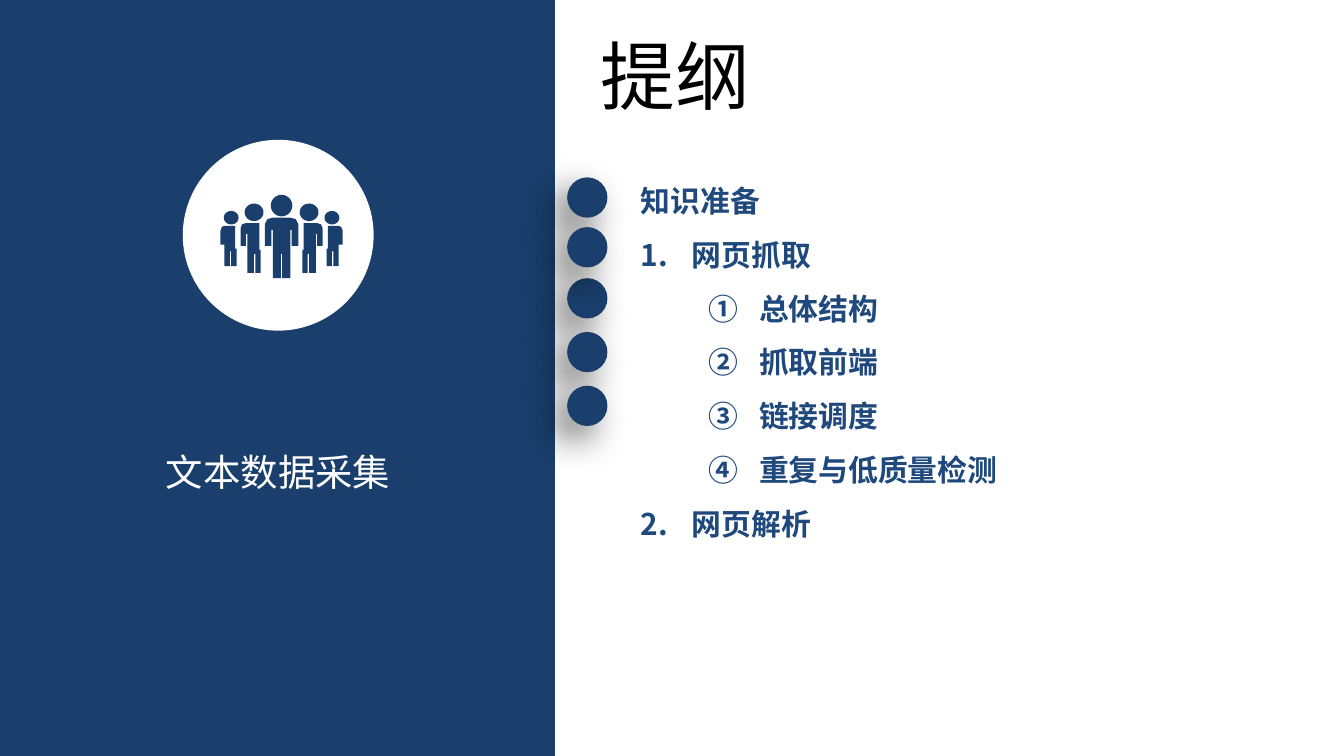
"""Build the outline slide for a lecture on collecting text data."""
import dataclasses
import math

import lxml.etree
import pptx
import pptx.dml.color
import pptx.enum.shapes
import pptx.enum.text
import pptx.oxml
import pptx.oxml.ns
import pptx.util

Inches = pptx.util.Inches
OVAL = pptx.enum.shapes.MSO_SHAPE.OVAL
ALIGN = pptx.enum.text.PP_ALIGN
FIT_SHAPE = pptx.enum.text.MSO_AUTO_SIZE.SHAPE_TO_FIT_TEXT
qn = pptx.oxml.ns.qn


@dataclasses.dataclass(frozen=True)
class Theme:
    navy: str = "1A3F6C"
    outline: str = "1F497D"
    white: str = "FFFFFF"
    black: str = "000000"
    font: str = "Noto Sans CJK SC"
    title_size: int = 40
    topic_size: int = 20
    outline_size: int = 16


theme = Theme()


def write(paragraph, text, size, color, bold=False, align=None, spacing=None, numbering=None, level=0, indent=0):
    if numbering:
        properties = paragraph._p.get_or_add_pPr()
        properties.set("marL", str(Inches(indent)))
        properties.set("indent", str(Inches(-0.38)))
        lxml.etree.SubElement(properties, qn("a:buFont"), typeface=theme.font)
        lxml.etree.SubElement(properties, qn("a:buAutoNum"), type=numbering)
    paragraph.level = level
    paragraph.alignment = align
    paragraph.line_spacing = spacing
    run = paragraph.add_run()
    run.text = text
    run.font.size = pptx.util.Pt(size)
    run.font.bold = bold
    run.font.color.rgb = pptx.dml.color.RGBColor.from_string(color)
    run.font.name = theme.font
    lxml.etree.SubElement(run._r.get_or_add_rPr(), qn("a:ea"), typeface=theme.font)


def paint(shape, color):
    shape.shadow.inherit = False
    shape.fill.solid()
    shape.fill.fore_color.rgb = pptx.dml.color.RGBColor.from_string(color)
    shape.line.fill.background()


deck = pptx.Presentation()
deck.slide_width = Inches(10)
deck.slide_height = deck.slide_width * 9 // 16
slide = deck.slides.add_slide(deck.slide_layouts[6])
shapes = slide.shapes

side_panel = shapes.add_shape(pptx.enum.shapes.MSO_SHAPE.RECTANGLE, 0, 0, Inches(4.13), deck.slide_height)
paint(side_panel, theme.navy)

title = shapes.add_textbox(Inches(4.37), Inches(0.17), Inches(1.32), Inches(0.77)).text_frame
title.word_wrap = False
title.auto_size = FIT_SHAPE
write(title.paragraphs[0], "提纲", theme.title_size, theme.black)

topic = shapes.add_textbox(Inches(1.23), Inches(3.34), Inches(1.68), Inches(0.34)).text_frame
topic.margin_left = topic.margin_right = topic.margin_top = topic.margin_bottom = 0
topic.word_wrap = True
topic.auto_size = FIT_SHAPE
write(topic.paragraphs[0], "文本数据采集", theme.topic_size, theme.white, align=ALIGN.CENTER)

badge = shapes.add_group_shape().shapes
paint(badge.add_shape(OVAL, Inches(1.36), Inches(1.04), Inches(1.42), Inches(1.42)), theme.white)

crowd_left, crowd_right = 1.64, 2.55
crowd_axis = (crowd_left + crowd_right) / 2
leader_half = [
    (crowd_axis, 1.62), (2.03, 1.62), (1.99, 1.63), (1.97, 1.67), (1.97, 1.83), (2.02, 1.83), (2.02, 1.71),
    (2.03, 1.71), (2.03, 2.07), (2.09, 2.07), (2.09, 1.89), (crowd_axis, 1.89),
]
second_body = [
    (1.83, 1.66), (1.8, 1.67), (1.79, 1.7), (1.79, 1.83), (1.83, 1.83), (1.83, 1.74), (1.84, 1.74), (1.84, 2.03),
    (1.89, 2.03), (1.89, 1.89), (1.9, 1.89), (1.9, 2.03), (1.94, 2.03), (1.94, 1.86), (1.93, 1.86), (1.93, 1.66),
]
third_body = [
    (1.67, 1.68), (1.65, 1.69), (crowd_left, 1.72), (crowd_left, 1.82), (1.67, 1.82), (1.67, 1.98), (1.71, 1.98),
    (1.71, 1.87), (1.72, 1.87), (1.72, 1.98), (1.76, 1.98), (1.76, 1.85), (1.75, 1.85), (1.75, 1.68),
]
turns = [math.tau * step / 32 for step in range(32)]
leader_head, second_head, third_head = [
    [(x + width / 2 * math.cos(turn), y + height / 2 * math.sin(turn)) for turn in turns]
    for x, y, width, height in [(crowd_axis, 1.53, 0.16, 0.16), (1.89, 1.58, 0.14, 0.13), (1.72, 1.62, 0.11, 0.1)]
]
contours = [leader_head, leader_half + [(2 * crowd_axis - x, y) for x, y in reversed(leader_half)]]
for contour in (second_head, second_body, third_head, third_body):
    contours += [contour, [(2 * crowd_axis - x, y) for x, y in reversed(contour)]]

crowd = badge.build_freeform(Inches(contours[0][0][0]), Inches(contours[0][0][1]), scale=1.0)
for index, contour in enumerate(contours):
    points = [(Inches(x), Inches(y)) for x, y in contour]
    if index:
        crowd.move_to(*points[0])
    crowd.add_line_segments(points[1:], close=True)
paint(crowd.convert_to_shape(), theme.navy)

outline = shapes.add_textbox(Inches(4.67), Inches(1.18), Inches(5.22), Inches(2.93)).text_frame
outline.word_wrap = True
outline.auto_size = FIT_SHAPE
chapter = dict(numbering="arabicPeriod", indent=0.38)
section = dict(numbering="circleNumDbPlain", indent=0.88, level=1)
entries = [
    ("知识准备", {}),
    ("网页抓取", chapter),
    ("总体结构", section),
    ("抓取前端", section),
    ("链接调度", section),
    ("重复与低质量检测", section),
    ("网页解析", chapter),
]
for index, (entry, numbering) in enumerate(entries):
    paragraph = outline.add_paragraph() if index else outline.paragraphs[0]
    write(paragraph, entry, theme.outline_size, theme.outline, bold=True, align=ALIGN.JUSTIFY, spacing=1.5, **numbering)

for top in (1.32, 2.07, 2.47, 2.87, 1.69):
    marker = shapes.add_shape(OVAL, Inches(4.22), Inches(top), Inches(0.3), Inches(0.3))
    paint(marker, theme.navy)
    effects = marker._element.spPr.find(qn("a:effectLst"))
    shadow = lxml.etree.SubElement(
        effects, qn("a:outerShdw"), blurRad=str(pptx.util.Pt(20)), dist=str(pptx.util.Pt(10)),
        dir=str(135 * 60000), algn="tr", rotWithShape="0",
    )
    shadow_color = lxml.etree.SubElement(shadow, qn("a:srgbClr"), val=theme.black)
    lxml.etree.SubElement(shadow_color, qn("a:alpha"), val="60000")

deck.save("out.pptx")
